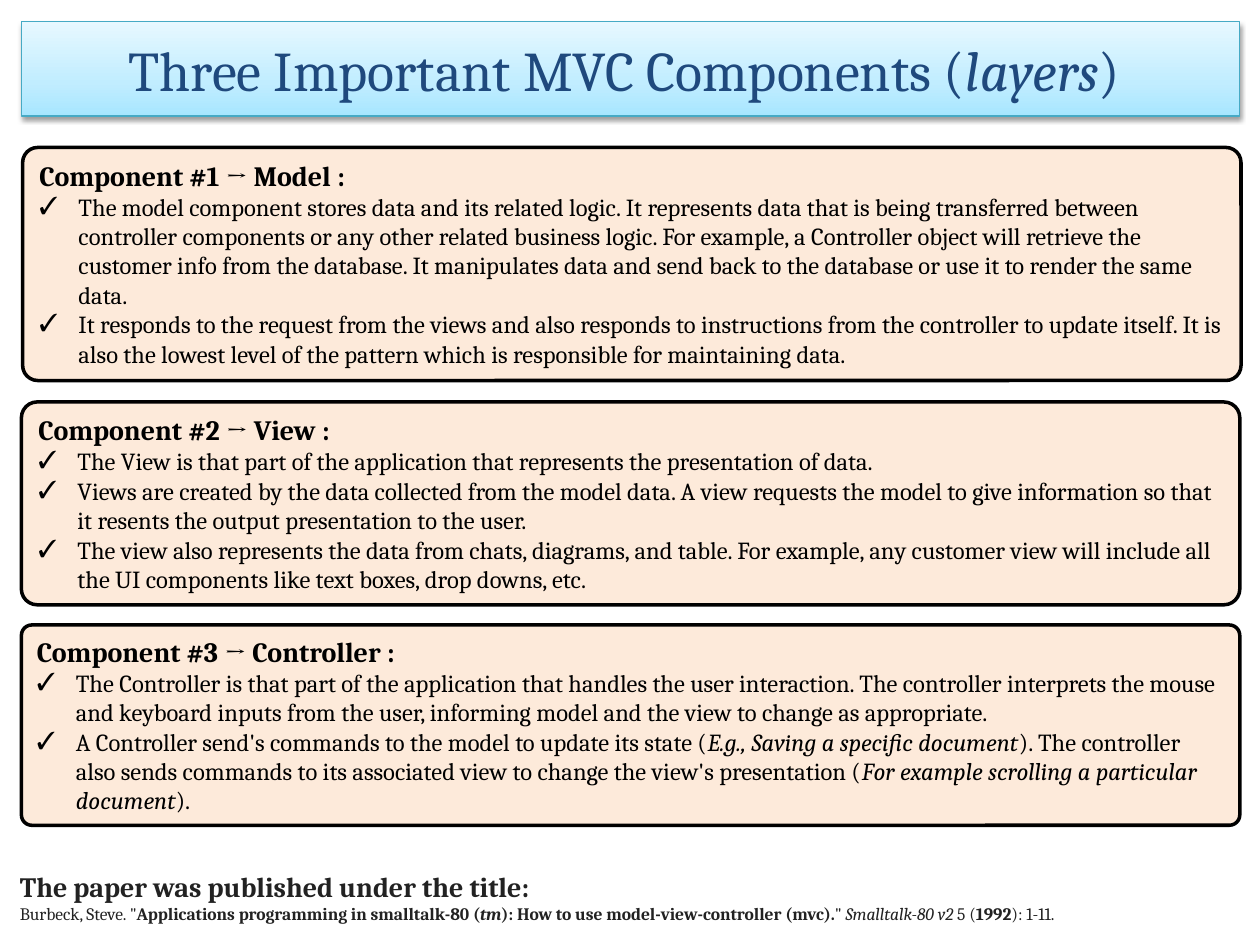
from copy import deepcopy

from lxml.etree import SubElement
from pptx import Presentation
from pptx.dml.color import RGBColor
from pptx.enum.shapes import MSO_SHAPE
from pptx.enum.text import MSO_ANCHOR, MSO_AUTO_SIZE, PP_ALIGN
from pptx.oxml.ns import qn
from pptx.util import Inches, Pt

TITLE = [("Three Important MVC Components (", ""), ("layers", "i"), (") ", "")]
CARDS = [
    ((0.18, 1.17, 9.67, 1.85), 0.065, "Component #1 → Model :", [
        [("The model component stores data and its related logic. It represents data that is being "
          "transferred between controller components or any other related business logic. For example, "
          "a Controller object will retrieve the customer info from the database. It manipulates data "
          "and send back to the database or use it to render the same data.", "")],
        [("It responds to the request from the views and also responds to instructions from the "
          "controller to update itself. It is also the lowest level of the pattern which is "
          "responsible for maintaining data.", "")],
    ]),
    ((0.17, 3.19, 9.67, 1.61), 0.078, "Component #2 → View :", [
        [("The View is that part of the application that represents the presentation of data.", "")],
        [("Views are created by the data collected from the model data. A view requests the model to "
          "give information so that it resents the output presentation to the user.", "")],
        [("The view also represents the data from chats, diagrams, and table. For example, any "
          "customer view will include all the UI components like text boxes, drop downs, etc.", "")],
    ]),
    ((0.17, 4.96, 9.67, 1.59), 0.052, "Component #3 → Controller :", [
        [("The Controller is that part of the application that handles the user interaction. The "
          "controller interprets the mouse and keyboard inputs from the user, informing model and the "
          "view to change as appropriate.", "")],
        [("A Controller send's commands to the model to update its state (", ""),
         ("E.g., Saving a specific document", "i"),
         ("). The controller also sends commands to its associated view to change the view's "
          "presentation (", ""),
         ("For example scrolling a particular document", "i"), (").", "")],
    ]),
]
CITATION = [
    ('Burbeck, Steve. "', ""), ("Applications programming in smalltalk-80 (", "b"), ("tm", "bi"),
    ("): How to use model-view-controller (mvc).", "b"), ('" ', ""), ("Smalltalk-80 v2", "i"),
    (" 5 (", ""), ("1992", "b"), ("): 1-11.", ""),
]


def rgb(color):
    """Turn a hex string into a colour."""
    return RGBColor.from_string(color)


def set_attrs(obj, **values):
    """Set each named attribute of an object."""
    for name, value in values.items():
        setattr(obj, name, value)


def place(sp, box):
    """Move a shape to a box given in inches."""
    set_attrs(sp, **dict(zip(("left", "top", "width", "height"), map(Inches, box))))


def write_runs(p, runs, size, color):
    """Add runs to a paragraph, with b and i marking bold and italic."""
    for text, style in runs:
        r = p.add_run()
        r.text = text
        set_attrs(r.font, name="Cambria", size=Pt(size), bold="b" in style, italic="i" in style)
        r.font.color.rgb = rgb(color)


def add_check(p):
    """Give a paragraph a check mark and a hanging indent."""
    pPr = p._p.get_or_add_pPr()
    pPr.set("marL", str(Inches(0.31)))
    pPr.set("indent", str(-Inches(0.31)))
    SubElement(pPr, qn("a:buFont"), typeface="Cambria")
    SubElement(pPr, qn("a:buChar"), char="✓")


def add_shadow(sp):
    """Cast a soft black shadow straight down."""
    sp.shadow.inherit = False
    effects = sp._element.spPr.find(qn("a:effectLst"))
    shadow = SubElement(effects, qn("a:outerShdw"), blurRad=str(Pt(3.1)), dist=str(Pt(1.6)),
                        dir="5400000", rotWithShape="0")
    black = SubElement(shadow, qn("a:srgbClr"), val="000000")
    SubElement(black, qn("a:alpha"), val="38000")


def fill_gradient(sp, stops, angle):
    """Fill a shape with a linear gradient of (position, colour) stops."""
    sp.fill.gradient()
    sp.fill.gradient_angle = angle
    gs_list = sp._element.spPr.find(".//" + qn("a:gsLst"))
    while len(gs_list) < len(stops):
        gs_list.append(deepcopy(gs_list[0]))
    for stop, (position, color) in zip(sp.fill.gradient_stops, stops):
        stop.position = position
        stop.color.rgb = rgb(color)


def add_title(s, box):
    """Format the title placeholder as a shaded banner."""
    sp = s.shapes.title
    place(sp, box)
    fill_gradient(sp, [(0, "A7E6FF"), (0.35, "C1EDFF"), (1, "E7F8FF")], 90)
    sp.line.color.rgb = rgb("46AAC5")
    sp.line.width = Pt(0.75)
    add_shadow(sp)
    tf = sp.text_frame
    set_attrs(tf, auto_size=MSO_AUTO_SIZE.NONE, vertical_anchor=MSO_ANCHOR.MIDDLE, word_wrap=True)
    p = tf.paragraphs[0]
    p.alignment = PP_ALIGN.CENTER
    write_runs(p, TITLE, 32, "1F497D")


def add_card(s, box, corner, heading, points):
    """Add a rounded card with a heading and checked points."""
    sp = s.shapes.add_shape(MSO_SHAPE.ROUNDED_RECTANGLE, *map(Inches, box))
    sp.adjustments[0] = corner
    sp.shadow.inherit = False
    sp.fill.solid()
    sp.fill.fore_color.rgb = rgb("FDEADA")
    sp.line.color.rgb = rgb("000000")
    sp.line.width = Pt(2)
    tf = sp.text_frame
    set_attrs(tf, word_wrap=True, vertical_anchor=MSO_ANCHOR.TOP)
    p = tf.paragraphs[0]
    p.alignment = PP_ALIGN.LEFT
    write_runs(p, [(heading, "b")], 16, "000000")
    for runs in points:
        p = tf.add_paragraph()
        p.alignment = PP_ALIGN.LEFT
        add_check(p)
        write_runs(p, runs, 14, "000000")


def add_source(s, box):
    """Add the heading and citation of the paper."""
    tf = s.shapes.add_textbox(*map(Inches, box)).text_frame
    tf.word_wrap = True
    write_runs(tf.paragraphs[0], [("The paper was published under the title:", "b")], 16, "222222")
    write_runs(tf.add_paragraph(), CITATION, 10, "222222")


def main():
    """Build and save the slide."""
    prs = Presentation()
    set_attrs(prs, slide_width=Inches(10), slide_height=Inches(7.5))
    s = prs.slides.add_slide(prs.slide_layouts[5])
    add_title(s, (0.17, 0.17, 9.67, 0.75))
    for card in CARDS:
        add_card(s, *card)
    add_source(s, (0.06, 6.85, 9.83, 0.54))
    prs.save("out.pptx")


if __name__ == "__main__":
    main()
